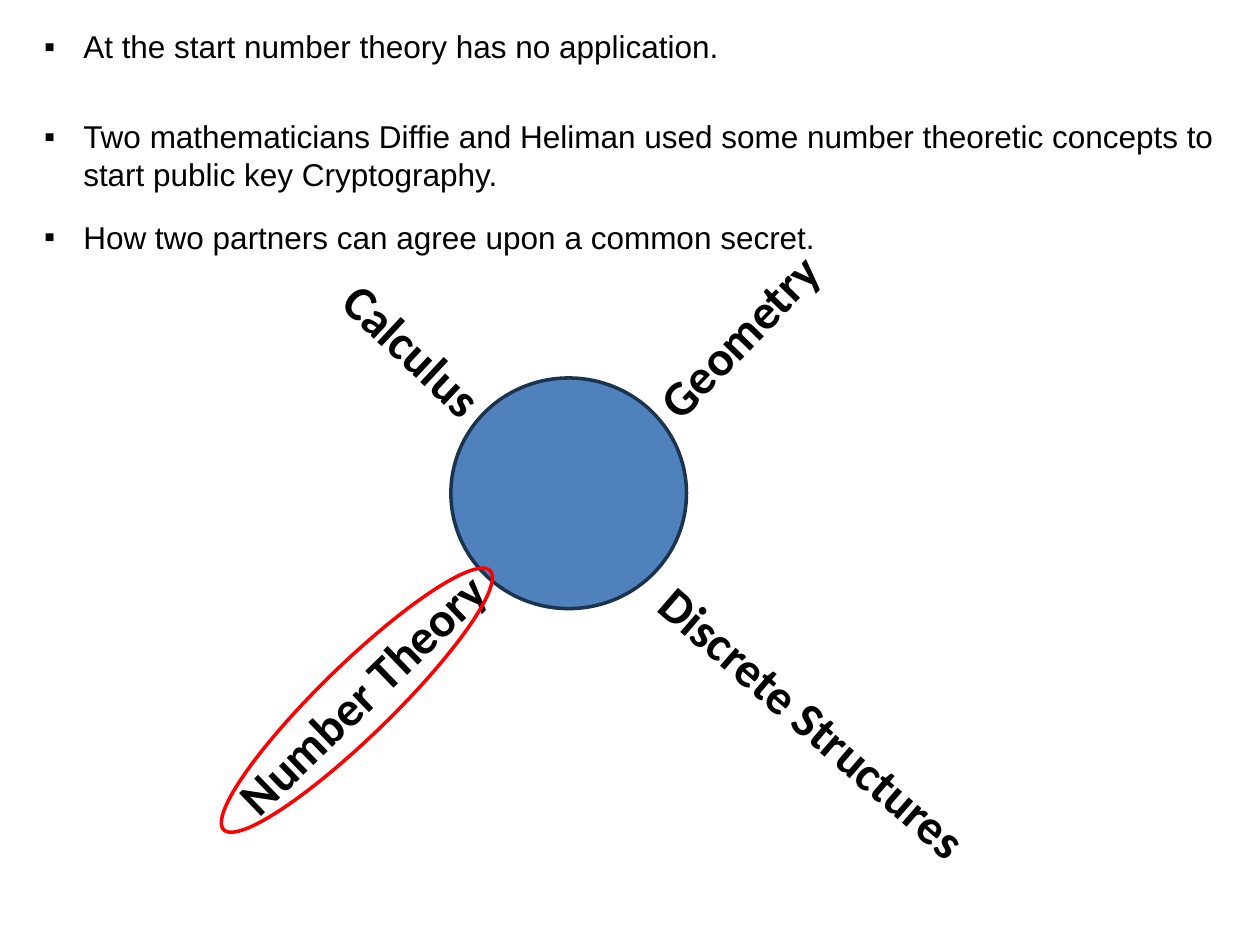
from lxml import etree
from pptx import Presentation
from pptx.dml.color import RGBColor
from pptx.enum.shapes import MSO_SHAPE
from pptx.enum.text import MSO_AUTO_SIZE
from pptx.oxml.ns import qn
from pptx.util import Cm, Pt

BLACK = RGBColor(0x00, 0x00, 0x00)
BLUE = RGBColor(0x4F, 0x81, 0xBD)
NAVY = RGBColor(0x1C, 0x33, 0x4E)
RED = RGBColor(0xFF, 0x00, 0x00)

BULLET_LEFT = 0.64
BULLET_INDENT = Cm(0.79)
LABEL_HEIGHT = 1.47

# text, top, width, height in cm
STATEMENTS = [
    ("At the start number theory has no application.", 0.43, 24.56, 1.02),
    ("Two mathematicians Diffie and Heliman used some number theoretic "
     "concepts to start public key Cryptography.", 2.24, 24.13, 1.78),
    ("How two partners can agree upon a common secret.", 4.27, 24.13, 1.02),
]

# text, left, top, width in cm, rotation in degrees
BRANCHES = [
    ("Calculus", 6.15, 6.71, 4.52, 43.1),
    ("Discrete Structures", 12.04, 14.2, 8.89, 40.9),
    ("Geometry", 12.55, 5.72, 5.92, 314),
    ("Number Theory", 3.86, 13.11, 7.82, 316),
]


def add_text(slide, text, left, top, width, height, font_name, size):
    box = slide.shapes.add_textbox(Cm(left), Cm(top), Cm(width), Cm(height))
    box.text_frame.word_wrap = True
    paragraph = box.text_frame.paragraphs[0]
    paragraph.text = text
    font = paragraph.font
    font.name, font.size, font.color.rgb = font_name, Pt(size), BLACK
    return box


def add_branch(slide, text, left, top, width, rotation):
    label = add_text(slide, text, left, top, width, LABEL_HEIGHT, "Calibri", 28)
    label.rotation = rotation
    paragraph = label.text_frame.paragraphs[0]
    paragraph.line_spacing = 0.8
    paragraph.font.bold = True


def add_statement(slide, text, top, width, height):
    statement = add_text(slide, text, BULLET_LEFT, top, width, height, "Arial", 18)
    statement.text_frame.auto_size = MSO_AUTO_SIZE.SHAPE_TO_FIT_TEXT
    properties = statement.text_frame.paragraphs[0]._p.get_or_add_pPr()
    properties.set("marL", str(BULLET_INDENT))
    properties.set("indent", str(-BULLET_INDENT))
    properties.insert(0, etree.Element(qn("a:buFont"), typeface="Arial"))
    properties.insert(1, etree.Element(qn("a:buChar"), char="▪"))


def add_ellipse(slide, left, top, width, height, line_color, fill_color=None, rotation=0):
    ellipse = slide.shapes.add_shape(
        MSO_SHAPE.OVAL, Cm(left), Cm(top), Cm(width), Cm(height))
    ellipse.shadow.inherit = False
    ellipse.rotation = rotation
    ellipse.line.color.rgb = line_color
    ellipse.line.width = Pt(2)
    if fill_color is None:
        ellipse.fill.background()
    else:
        ellipse.fill.solid()
        ellipse.fill.fore_color.rgb = fill_color


def main():
    presentation = Presentation()
    presentation.slide_width, presentation.slide_height = Cm(25.4), Cm(19.05)
    slide = presentation.slides.add_slide(presentation.slide_layouts[6])

    for branch in BRANCHES:
        add_branch(slide, *branch)
    add_ellipse(slide, 9.09, 7.62, 4.75, 4.65, NAVY, fill_color=BLUE)
    for statement in STATEMENTS:
        add_statement(slide, *statement)
    add_ellipse(slide, 3.45, 13.39, 7.49, 1.45, RED, rotation=315.8)

    presentation.save("out.pptx")


if __name__ == "__main__":
    main()
